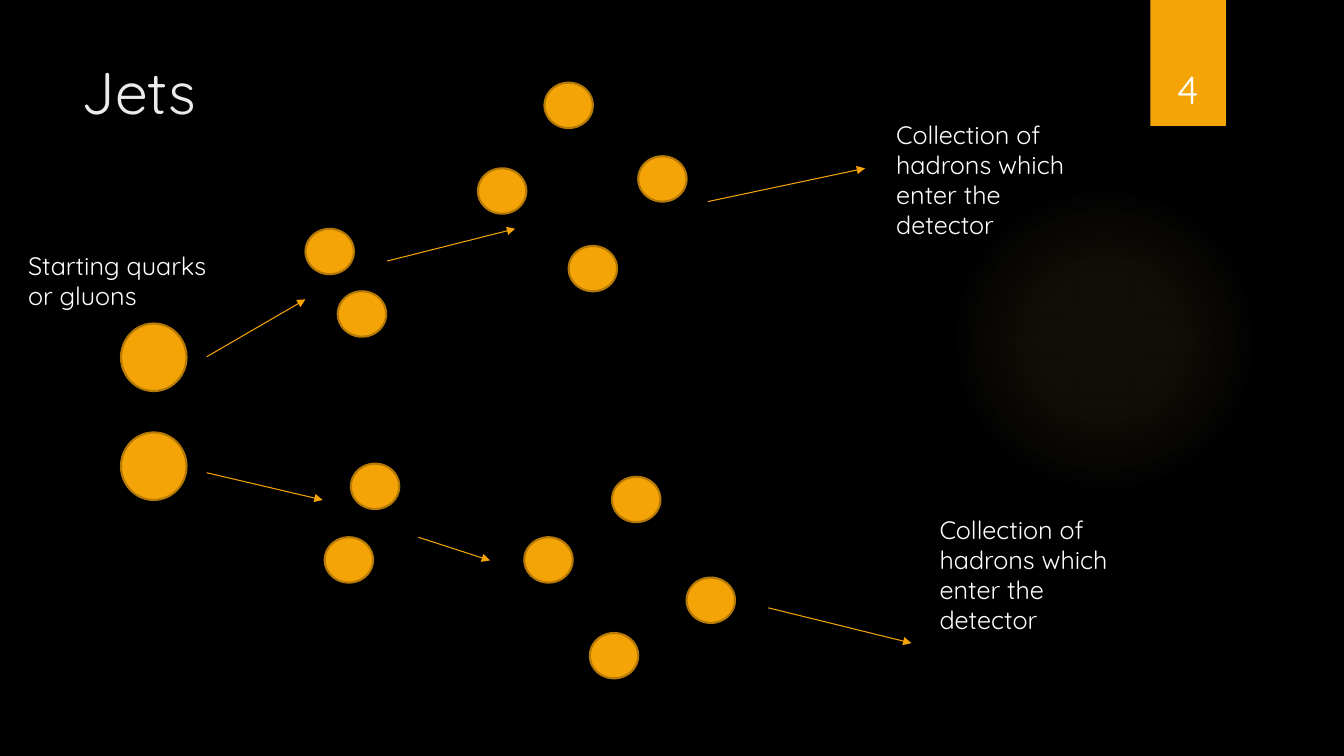
from lxml import etree
from pptx import Presentation
from pptx.dml.color import RGBColor
from pptx.enum.shapes import MSO_CONNECTOR, MSO_SHAPE
from pptx.enum.text import MSO_ANCHOR, PP_ALIGN
from pptx.oxml import parse_xml
from pptx.oxml.ns import nsdecls, qn
from pptx.util import Inches, Pt

ELLIPSE, RECTANGLE = MSO_SHAPE.OVAL, MSO_SHAPE.RECTANGLE
STRAIGHT = MSO_CONNECTOR.STRAIGHT
TOP, BOTTOM = MSO_ANCHOR.TOP, MSO_ANCHOR.BOTTOM
LEFT, CENTER = PP_ALIGN.LEFT, PP_ALIGN.CENTER

THEME = {
    "font": "Quicksand",
    "background": RGBColor.from_string("000000"),
    "accent": RGBColor.from_string("F5A408"),
    "outline": RGBColor.from_string("B57906"),
    "title": RGBColor.from_string("EBEBEB"),
    "text": RGBColor.from_string("FFFFFF"),
    "glow": "FAC96A",
    "title_size": 42,
    "number_size": 28,
    "label_size": 18,
}

prs = Presentation()
prs.slide_width, prs.slide_height = Inches(13.33), Inches(7.5)
slide = prs.slides.add_slide(prs.slide_layouts[6])
slide.background.fill.solid()
slide.background.fill.fore_color.rgb = THEME["background"]


def add_text(text, *, box, size=THEME["label_size"], color=THEME["text"],
             align=LEFT, anchor=TOP):
    frame = slide.shapes.add_textbox(*map(Inches, box)).text_frame
    frame.word_wrap = True
    frame.vertical_anchor = anchor
    paragraph = frame.paragraphs[0]
    paragraph.alignment = align
    run = paragraph.add_run()
    run.text = text
    run.font.name = THEME["font"]
    run.font.size = Pt(size)
    run.font.color.rgb = color


def add_filled(preset, *box):
    shape = slide.shapes.add_shape(preset, *map(Inches, box))
    shape.shadow.inherit = False
    shape.fill.solid()
    shape.fill.fore_color.rgb = THEME["accent"]
    shape.line.fill.background()
    return shape


glow = add_filled(ELLIPSE, 9.41, 1.83, 3.08, 3.08)
glow_stops = "".join(
    f'<a:gs pos="{position * 1000}"><a:srgbClr val="{THEME["glow"]}">'
    f'<a:alpha val="{opacity * 1000}"/></a:srgbClr></a:gs>'
    for position, opacity in [(0, 7), (36, 6), (69, 0)]
)
glow_fill = parse_xml(
    f'<a:gradFill {nsdecls("a")} rotWithShape="1"><a:gsLst>{glow_stops}</a:gsLst>'
    '<a:path path="circle"><a:fillToRect l="50000" t="50000" r="50000" b="50000"/>'
    '</a:path></a:gradFill>'
)
glow_properties = glow.element.spPr
glow_properties.replace(glow_properties.find(qn("a:solidFill")), glow_fill)

add_filled(RECTANGLE, 11.41, 0, 0.75, 1.25)
add_text("Jets", box=(0.71, 0.5, 10.29, 1.53), size=THEME["title_size"],
         color=THEME["title"])

starting_partons = [(1.2, 3.21), (1.2, 4.29)]
jet_particles = [
    (3.03, 2.27), (3.35, 2.89), (3.48, 4.6), (3.22, 5.33),
    (5.4, 0.82), (4.74, 1.67), (6.33, 1.55), (5.64, 2.44),
    (6.07, 4.73), (5.2, 5.33), (6.81, 5.73), (5.85, 6.28),
]
for places, width, height in [(starting_partons, 0.65, 0.67),
                              (jet_particles, 0.48, 0.45)]:
    for left, top in places:
        particle = add_filled(ELLIPSE, left, top, width, height)
        particle.line.color.rgb = THEME["outline"]
        particle.line.width = Pt(1.5)

upper_jet_steps = [
    (2.05, 3.54, 3.03, 2.97), (3.84, 2.59, 5.11, 2.27), (7.02, 2, 8.58, 1.67),
]
lower_jet_steps = [
    (2.05, 4.69, 3.2, 4.96), (4.15, 5.33, 4.86, 5.56), (7.62, 6.03, 9.04, 6.38),
]
for ends in upper_jet_steps + lower_jet_steps:
    arrow = slide.shapes.add_connector(STRAIGHT, *map(Inches, ends))
    arrow.line.color.rgb = THEME["accent"]
    arrow.line.width = Pt(0.75)
    arrow_properties = arrow.element.spPr
    arrow_line = arrow_properties.find(qn("a:ln"))
    etree.SubElement(arrow_line, qn("a:tailEnd"), type="triangle")
    etree.SubElement(arrow_properties, qn("a:effectLst"))

add_text("Starting quarks or gluons", box=(0.18, 2.43, 2.05, 0.71))
for left, top in [(8.79, 1.13), (9.22, 5.05)]:
    add_text("Collection of hadrons which enter the detector",
             box=(left, top, 2.21, 1.31))
add_text("4", box=(11.32, 0.32, 0.92, 0.84), size=THEME["number_size"],
         align=CENTER, anchor=BOTTOM)

prs.save("out.pptx")
